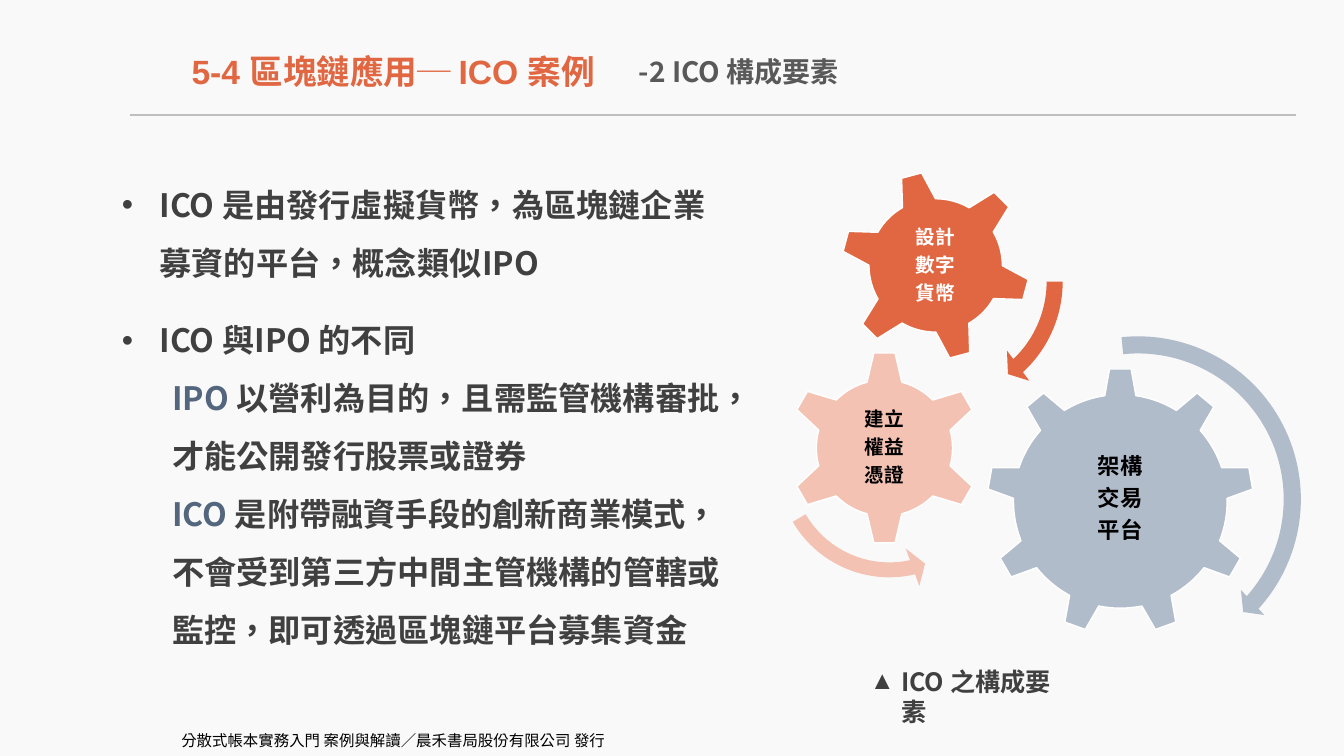
"""Build the slide on the elements of an ICO."""
from dataclasses import dataclass

from lxml.etree import SubElement
from pptx import Presentation
from pptx.dml.color import RGBColor
from pptx.enum.shapes import MSO_CONNECTOR, MSO_SHAPE
from pptx.enum.text import MSO_ANCHOR, PP_ALIGN
from pptx.oxml.ns import qn
from pptx.shapes.autoshape import Shape
from pptx.slide import Slide
from pptx.text.text import TextFrame, _Paragraph, _Run
from pptx.util import Cm, Pt

BACKGROUND = RGBColor(0xF9, 0xF9, 0xF9)
WHITE = RGBColor(0xFF, 0xFF, 0xFF)
BLACK = RGBColor(0x00, 0x00, 0x00)
ORANGE = RGBColor(0xE0, 0x67, 0x41)
PEACH = RGBColor(0xF3, 0xC2, 0xB3)
STEEL = RGBColor(0xB1, 0xBC, 0xCB)
NAVY = RGBColor(0x54, 0x66, 0x7E)
DARK_GREY = RGBColor(0x40, 0x40, 0x40)
MID_GREY = RGBColor(0x59, 0x59, 0x59)
RULE_GREY = RGBColor(0xBF, 0xBF, 0xBF)

SANS = "Noto Sans CJK SC"
SANS_TC = "Noto Sans CJK TC"


@dataclass(frozen=True)
class Box:
    left: float
    top: float
    width: float
    height: float


@dataclass(frozen=True)
class Style:
    size: float
    color: RGBColor
    bold: bool = True
    latin: str = SANS
    east_asian: str = SANS


@dataclass(frozen=True)
class Label:
    text: str
    box: Box
    style: Style
    align: PP_ALIGN = PP_ALIGN.LEFT


@dataclass(frozen=True)
class Point:
    text: str
    lead: str = ""
    bullet: bool = False
    space_before: float = 0


@dataclass(frozen=True)
class Gear:
    words: str
    preset: MSO_SHAPE
    box: Box
    words_box: Box
    fill: RGBColor
    style: Style
    rotation: float = 0


@dataclass(frozen=True)
class Arrow:
    preset: MSO_SHAPE
    box: Box
    fill: RGBColor
    adjustments: tuple[float, ...]
    rotation: float = 0


LABELS = (
    Label("分散式帳本實務入門 案例與解讀／晨禾書局股份有限公司 發行", Box(4.32, 18.31, 11.71, 0.74),
          Style(11, BLACK, False, SANS_TC, SANS_TC)),
    Label("5-4 區塊鏈應用─ ICO 案例", Box(4.22, 1.17, 11.38, 2.44),
          Style(24, ORANGE, latin="Arial"), PP_ALIGN.CENTER),
    Label("-2 ICO 構成要素", Box(15.85, 1.24, 5.89, 1.12), Style(20, MID_GREY)),
)
POINTS = (
    Point("ICO 是由發行虛擬貨幣，為區塊鏈企業募資的平台，概念類似IPO", bullet=True),
    Point("ICO 與IPO 的不同", bullet=True, space_before=14),
    Point("以營利為目的，且需監管機構審批，才能公開發行股票或證券", lead="IPO "),
    Point("是附帶融資手段的創新商業模式，", lead="ICO "),
    Point("不會受到第三方中間主管機構的管轄或"),
    Point("監控，即可透過區塊鏈平台募集資金"),
)
GEARS = (
    Gear("架構\n交易\n平台", MSO_SHAPE.GEAR_9, Box(24.87, 9.27, 6.73, 6.73),
         Box(26.21, 10.85, 4.04, 3.45), STEEL, Style(16, BLACK)),
    Gear("建立\n權益\n憑證", MSO_SHAPE.GEAR_6, Box(19.84, 8.84, 4.9, 4.9),
         Box(21.06, 10.08, 2.44, 2.41), PEACH, Style(14, BLACK)),
    Gear("設計\n數字\n貨幣", MSO_SHAPE.GEAR_6, Box(21.18, 4.29, 4.8, 4.8),
         Box(22.23, 5.36, 2.69, 2.69), ORANGE, Style(14, WHITE), 345),
)
ARROWS = (
    Arrow(MSO_SHAPE.CIRCULAR_ARROW, Box(24.36, 8.26, 8.64, 8.64), STEEL,
          (0.05, 2.99, 25.21, 158.51, 0.05)),
    Arrow(MSO_SHAPE.LEFT_CIRCULAR_ARROW, Box(19.28, 8.59, 6.27, 6.27), PEACH,
          (0.06, 4.3, 104.89, 148.38, 0.08), 262.4),
    Arrow(MSO_SHAPE.CIRCULAR_ARROW, Box(20.29, 3.71, 6.76, 6.76), ORANGE,
          (0.06, 3.94, 133.14, 105.08, 0.07), 185),
)
BODY_BOX = Box(2.82, 4.06, 15.93, 12.4)
CAPTION_BOX = Box(21.67, 16.66, 5.6, 1.02)


def place(box: Box) -> tuple[Cm, Cm, Cm, Cm]:
    return Cm(box.left), Cm(box.top), Cm(box.width), Cm(box.height)


def format_run(run: _Run, style: Style) -> None:
    run.font.size = Pt(style.size)
    run.font.bold = style.bold
    run.font.color.rgb = style.color
    run.font.name = style.latin
    run.font._element.set("lang", "zh-TW")
    SubElement(run.font._element, qn("a:ea"), typeface=style.east_asian)


def indent(paragraph: _Paragraph, left: float, first: float, bullet: str = "") -> None:
    properties = paragraph._p.get_or_add_pPr()
    properties.set("marL", str(Cm(left)))
    properties.set("indent", str(Cm(first)))
    if bullet:
        SubElement(properties, qn("a:buFont"), typeface="Arial")
        SubElement(properties, qn("a:buChar"), char=bullet)


def add_text_frame(slide: Slide, box: Box) -> TextFrame:
    frame = slide.shapes.add_textbox(*place(box)).text_frame
    frame.word_wrap = True
    return frame


def add_label(slide: Slide, label: Label) -> TextFrame:
    frame = add_text_frame(slide, label.box)
    frame.text = label.text
    for paragraph in frame.paragraphs:
        paragraph.alignment = label.align
        for run in paragraph.runs:
            format_run(run, label.style)
    return frame


def add_points(slide: Slide) -> None:
    frame = add_text_frame(slide, BODY_BOX)
    for index, point in enumerate(POINTS):
        paragraph = frame.add_paragraph() if index else frame.paragraphs[0]
        paragraph.line_spacing = 1.5
        paragraph.space_before = Pt(point.space_before)
        if point.bullet:
            indent(paragraph, 0.95, -0.95, "•")
        else:
            paragraph.level = 1
            indent(paragraph, 1.27, 0)
        for text, color in ((point.lead, NAVY), (point.text, DARK_GREY)):
            if text:
                run = paragraph.add_run()
                run.text = text
                format_run(run, Style(23, color))


def add_preset(slide: Slide, part: Gear | Arrow) -> Shape:
    shape = slide.shapes.add_shape(part.preset, *place(part.box))
    shape.rotation = part.rotation
    shape.shadow.inherit = False
    shape.fill.solid()
    shape.fill.fore_color.rgb = part.fill
    return shape


def add_gear(slide: Slide, gear: Gear) -> None:
    outline = add_preset(slide, gear).line
    outline.color.rgb = WHITE
    outline.width = Pt(1)
    frame = add_label(slide, Label(gear.words, gear.words_box, gear.style, PP_ALIGN.CENTER))
    frame.vertical_anchor = MSO_ANCHOR.MIDDLE
    frame.margin_left = frame.margin_right = Cm(0.05)
    frame.margin_top = frame.margin_bottom = Cm(0.05)
    for paragraph in frame.paragraphs:
        paragraph.line_spacing = 0.9
        paragraph.space_after = Pt(0.35 * gear.style.size)


def add_arrow(slide: Slide, arrow: Arrow) -> None:
    shape = add_preset(slide, arrow)
    shape.line.fill.background()
    for index, value in enumerate(arrow.adjustments):
        shape.adjustments[index] = value


def add_title_rule(slide: Slide) -> None:
    rule = slide.shapes.add_connector(MSO_CONNECTOR.STRAIGHT, Cm(3.28), Cm(2.9), Cm(32.66), Cm(2.9))
    rule.line.color.rgb = RULE_GREY
    rule.line.width = Pt(1.5)
    SubElement(rule._element.spPr, qn("a:effectLst"))


def add_caption(slide: Slide) -> None:
    frame = add_label(slide, Label("ICO 之構成要素", CAPTION_BOX, Style(18, DARK_GREY)))
    indent(frame.paragraphs[0], 0.79, -0.79, "▲")


def main() -> None:
    deck = Presentation()
    deck.slide_width, deck.slide_height = Cm(33.87), Cm(19.05)
    slide = deck.slides.add_slide(deck.slide_layouts[6])
    slide.background.fill.solid()
    slide.background.fill.fore_color.rgb = BACKGROUND
    add_points(slide)
    add_title_rule(slide)
    for label in LABELS:
        add_label(slide, label)
    for gear in GEARS:
        add_gear(slide, gear)
    for arrow in ARROWS:
        add_arrow(slide, arrow)
    add_caption(slide)
    deck.save("out.pptx")


if __name__ == "__main__":
    main()
